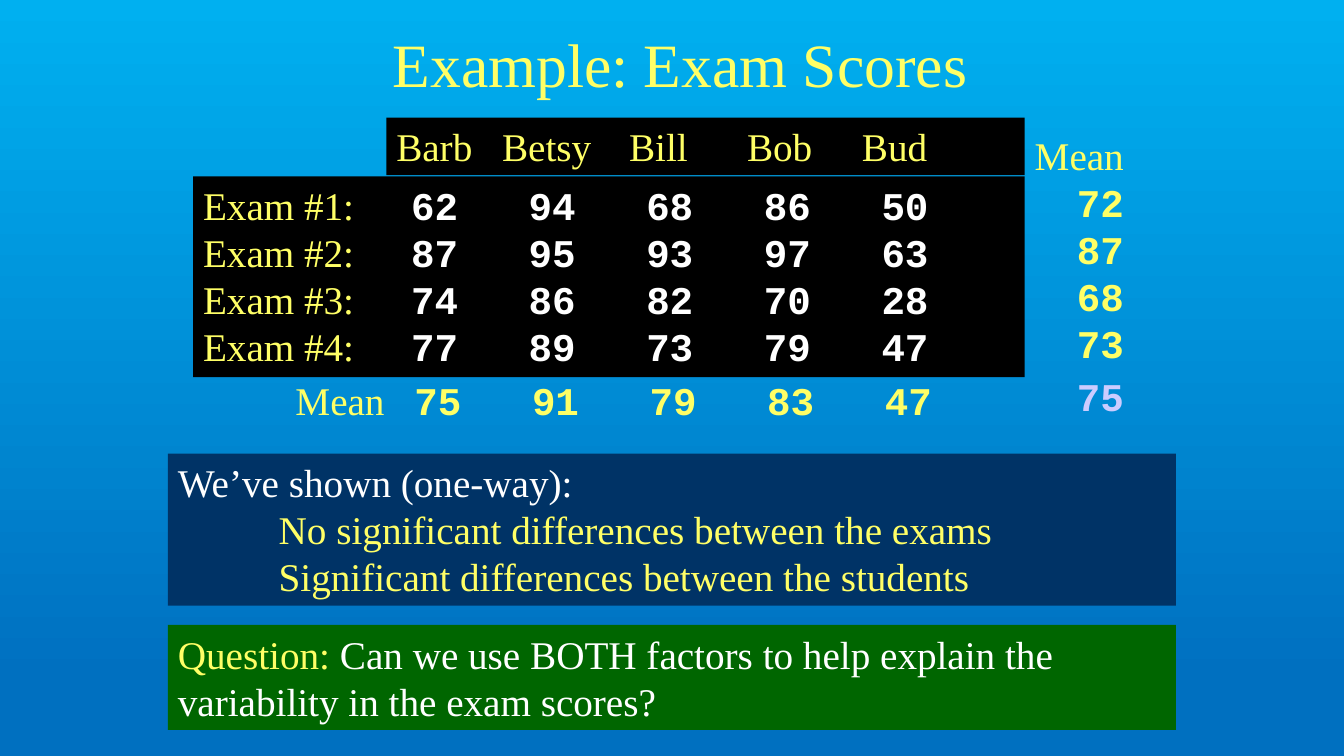
"""Build the exam scores slide with its row and column means."""
from dataclasses import dataclass

from lxml.etree import SubElement
from pptx import Presentation
from pptx.dml.color import RGBColor
from pptx.enum.shapes import MSO_SHAPE
from pptx.enum.text import MSO_ANCHOR, MSO_AUTO_SIZE, PP_ALIGN
from pptx.oxml.ns import qn
from pptx.util import Inches, Pt


@dataclass(frozen=True)
class Theme:
    """Colours, fonts and type sizes of the slide."""
    yellow: str = "FFFF66"
    white: str = "FFFFFF"
    lilac: str = "CCCCFF"
    black: str = "000000"
    navy: str = "003366"
    green: str = "006600"
    sky: tuple = ((0, "00B0F0"), (0.9, "0070C0"))
    words: str = "Times New Roman"
    digits: str = "Courier New"
    title_size: int = 44
    body_size: int = 28


class ScoreSlide:
    """Hold the theme and the slide, placing elements on a 160 by 90 grid."""

    def __init__(self, deck, theme):
        """Add a title-only slide with a gradient background."""
        self.theme = theme
        self.column, self.row = deck.slide_width / 160, deck.slide_height / 90
        self.slide = deck.slides.add_slide(deck.slide_layouts[5])
        self.canvas = self.slide.shapes
        fill = self.slide.background.fill
        fill.gradient()
        fill.gradient_angle = 270
        for stop, (position, colour) in zip(fill.gradient_stops, theme.sky):
            stop.position = position
            stop.color.rgb = RGBColor.from_string(colour)

    def place(self, at):
        """Turn grid columns and rows into slide lengths."""
        units = (self.column, self.row) * 2
        return [round(length * unit) for length, unit in zip(at, units)]

    def start_group(self):
        """Put the elements that follow in one group."""
        self.canvas = self.slide.shapes.add_group_shape().shapes

    def words(self, text, colour=None):
        """Describe a run of wording."""
        return text, self.theme.words, False, colour or self.theme.yellow

    def digits(self, text, colour=None):
        """Describe a run of bold figures."""
        return text, self.theme.digits, True, colour or self.theme.yellow

    def set_line(self, paragraph, runs, size, tabs=(), **layout):
        """Fill a paragraph with runs, tab stops and layout values."""
        for name, value in layout.items():
            setattr(paragraph, name, value)
        if tabs:
            tab_list = SubElement(paragraph._p.get_or_add_pPr(), qn("a:tabLst"))
            for stop in tabs:
                SubElement(tab_list, qn("a:tab"), pos=str(Inches(stop)), algn="l")
        for text, face, bold, colour in runs:
            run = paragraph.add_run()
            run.text = text
            for name, value in {"name": face, "size": Pt(size), "bold": bold}.items():
                setattr(run.font, name, value)
            run.font.color.rgb = RGBColor.from_string(colour)

    def title(self, at, text):
        """Move and format the title placeholder."""
        heading = self.slide.shapes.title
        for name, value in zip(("left", "top", "width", "height"), self.place(at)):
            setattr(heading, name, value)
        heading.text_frame.vertical_anchor = MSO_ANCHOR.MIDDLE
        self.set_line(heading.text_frame.paragraphs[0], [self.words(text)],
                      self.theme.title_size, alignment=PP_ALIGN.CENTER)

    def text(self, at, lines, tabs=(), layouts=()):
        """Add a text box with one list of runs per line."""
        self.fill_lines(self.canvas.add_textbox(*self.place(at)), lines, tabs, layouts)

    def panel(self, at, colour, lines, tabs=()):
        """Add a filled rectangle with one list of runs per line."""
        block = self.canvas.add_shape(MSO_SHAPE.RECTANGLE, *self.place(at))
        block.shadow.inherit = False
        block.fill.solid()
        block.fill.fore_color.rgb = RGBColor.from_string(colour)
        block.line.fill.background()
        self.fill_lines(block, lines, tabs)

    def fill_lines(self, holder, lines, tabs, layouts=()):
        """Set lines from the top left of a shape."""
        frame = holder.text_frame
        settings = {"word_wrap": True, "vertical_anchor": MSO_ANCHOR.TOP,
                    "auto_size": MSO_AUTO_SIZE.SHAPE_TO_FIT_TEXT}
        for name, value in settings.items():
            setattr(frame, name, value)
        for index, runs in enumerate(lines):
            paragraph = frame.add_paragraph() if index else frame.paragraphs[0]
            layout = {"alignment": PP_ALIGN.LEFT}
            layout.update(layouts[index] if layouts else {})
            self.set_line(paragraph, runs, self.theme.body_size, tabs, **layout)


def score_stops(first):
    """Return five evenly spaced tab stops, one per student."""
    return [first + student * 7 / 6 for student in range(5)]


def tabbed(values):
    """Put each value behind a tab."""
    return "".join(f"\t{value}" for value in values)


STUDENTS = ("Barb", "Betsy", "Bill", "Bob", "Bud")
SCORES = ((62, 94, 68, 86, 50), (87, 95, 93, 97, 63),
          (74, 86, 82, 70, 28), (77, 89, 73, 79, 47))
STUDENT_MEANS = (75, 91, 79, 83, 47)
EXAM_MEANS = (72, 87, 68, 73)
OVERALL_MEAN = 75

deck = Presentation()
deck.slide_width, deck.slide_height = Inches(13.333), Inches(7.5)
theme = Theme()
page = ScoreSlide(deck, theme)

page.title((30, 0, 102, 15), "Example: Exam Scores")
page.panel((20, 54, 120, 18.1), theme.navy, [
    [page.words("We’ve shown (one-way):", theme.white)],
    [page.words("\tNo significant differences between the exams")],
    [page.words("\tSignificant differences between the students")],
], tabs=[1])
page.panel((20, 74.4, 120, 12.5), theme.green, [[
    page.words("Question:"),
    page.words(" Can we use BOTH factors to help explain the "
               "variability in the exam scores?", theme.white),
]])

page.start_group()
page.panel((23, 21, 99, 23.9), theme.black,
           [[page.words(f"Exam #{exam}:")] for exam in range(1, len(SCORES) + 1)])
page.text((45, 21, 78, 23.9),
          [[page.digits(tabbed(row), theme.white)] for row in SCORES],
          tabs=score_stops(0.23))
page.text((34, 44.2, 94, 6.85),
          [[page.words("Mean"), page.digits(tabbed(STUDENT_MEANS))]],
          tabs=score_stops(1.18))
page.panel((46, 14, 76, 6.85), theme.black, [[page.words("\t".join(STUDENTS))]],
           tabs=[1.05, 2.31, 3.48, 4.62])

centred = {"alignment": PP_ALIGN.CENTER}
page.text((122, 15, 18, 36),
          [[page.words("Mean")]]
          + [[page.digits(str(mean))] for mean in EXAM_MEANS]
          + [[page.digits(str(OVERALL_MEAN), theme.lilac)]],
          layouts=[{}] + [centred] * len(EXAM_MEANS)
          + [{**centred, "space_before": Pt(4.2)}])

deck.save("out.pptx")
